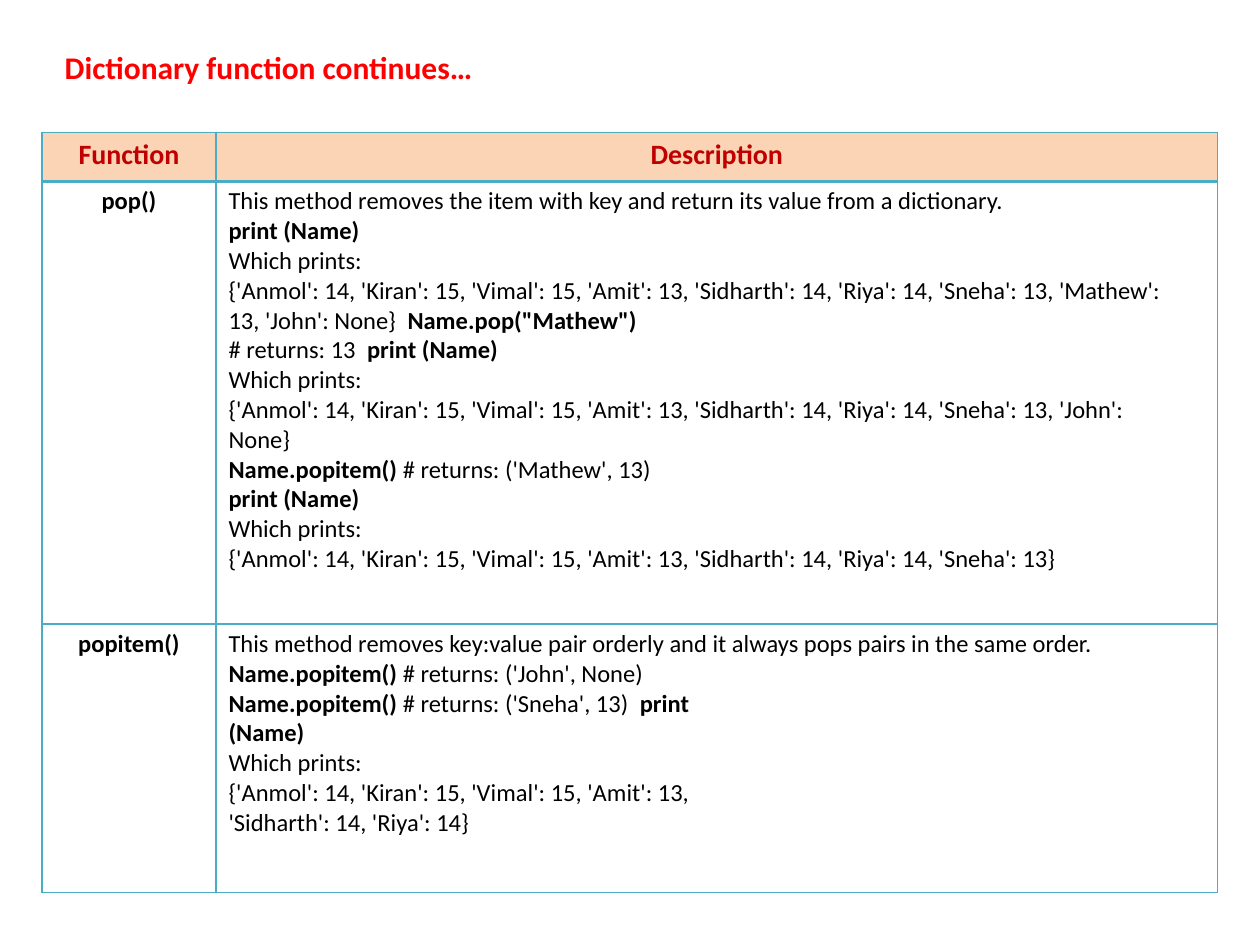
import pptx
import pptx.util
import pptx.dml.color
import pptx.enum.text
import pptx.oxml.ns
from lxml import etree

Pt = pptx.util.Pt
ALIGN = pptx.enum.text.PP_ALIGN
ANCHOR = pptx.enum.text.MSO_ANCHOR
TEAL, PEACH, DARK_RED, RED, BLACK = "4AACC5", "FBD4B5", "C00000", "FF0000", "000000"

POP = [
    ("This method removes the item with key and return its value from a dictionary.", 0),
    ("**print (Name)**", 0),
    ("Which prints:", 0),
    ("{'Anmol': 14, 'Kiran': 15, 'Vimal': 15, 'Amit': 13, 'Sidharth': 14, 'Riya': 14, "
     "'Sneha': 13, 'Mathew':", 0),
    ("13, 'John': None}  **Name.pop(\"Mathew\") **# returns: 13  **print (Name)**", 330),
    ("Which prints:", 0),
    ("{'Anmol': 14, 'Kiran': 15, 'Vimal': 15, 'Amit': 13, 'Sidharth': 14, 'Riya': 14, "
     "'Sneha': 13, 'John': None}", 33),
    ("**Name.popitem() **# returns: ('Mathew', 13)", 0),
    ("**print (Name)**", 0),
    ("Which prints:", 0),
    ("{'Anmol': 14, 'Kiran': 15, 'Vimal': 15, 'Amit': 13, 'Sidharth': 14, 'Riya': 14, "
     "'Sneha': 13}", 0),
]
POPITEM = [
    ("This method removes key:value pair orderly and it always pops pairs in the same order.", 0),
    ("**Name.popitem() **# returns: ('John', None) **Name.popitem() **"
     "# returns: ('Sneha', 13)  **print (Name)**", 296),
    ("Which prints:", 0),
    ("{'Anmol': 14, 'Kiran': 15, 'Vimal': 15, 'Amit': 13, 'Sidharth': 14, 'Riya': 14}", 296),
]


def rgb(color):
    return pptx.dml.color.RGBColor.from_string(color)


def style(p, size, color, bold=None):
    p.font.name = "Calibri"
    p.font.size = Pt(size)
    p.font.color.rgb = rgb(color)
    p.font.bold = bold


def add_title(s, text):
    sp = s.shapes.title
    sp.left, sp.top, sp.width, sp.height = Pt(36), Pt(26.5), Pt(300), Pt(24)
    tf = sp.text_frame
    tf.margin_left = tf.margin_right = tf.margin_bottom = 0
    tf.margin_top = Pt(1)
    tf.vertical_anchor = ANCHOR.TOP
    tf.text = text
    p = tf.paragraphs[0]
    p.alignment = ALIGN.LEFT
    p.space_before = Pt(1)
    pPr = p._p.get_or_add_pPr()
    pPr.set("marL", str(Pt(1)))
    style(p, 18, RED, True)


def set_borders(cell, top, bottom):
    tcPr = cell._tc.get_or_add_tcPr()
    widths = {"a:lnL": 1, "a:lnR": 1, "a:lnT": top, "a:lnB": bottom}
    for i, (tag, width) in enumerate(widths.items()):
        ln = etree.Element(pptx.oxml.ns.qn(tag), w=str(Pt(width)))
        fill = etree.SubElement(ln, pptx.oxml.ns.qn("a:solidFill"))
        etree.SubElement(fill, pptx.oxml.ns.qn("a:srgbClr"), val=TEAL)
        tcPr.insert(i, ln)


def format_cell(cell, fill, top, bottom):
    cell.margin_left = cell.margin_right = cell.margin_bottom = 0
    cell.margin_top = Pt(3)
    if fill:
        cell.fill.solid()
        cell.fill.fore_color.rgb = rgb(fill)
    else:
        cell.fill.background()
    set_borders(cell, top, bottom)


def write_label(cell, text, size, color):
    cell.text = text
    p = cell.text_frame.paragraphs[0]
    p.alignment = ALIGN.CENTER
    p.space_before = Pt(2.8)
    style(p, size, color, True)


def write_description(cell, lines):
    tf = cell.text_frame
    for i, (text, right) in enumerate(lines):
        p = tf.add_paragraph() if i else tf.paragraphs[0]
        p.space_before = Pt(0 if i else 2.8)
        style(p, 14, BLACK)
        pPr = p._p.get_or_add_pPr()
        pPr.set("marL", str(Pt(7.2)))
        pPr.set("marR", str(Pt(right)))
        for j, part in enumerate(text.split("**")):
            if part:
                r = p.add_run()
                r.text = part
                r.font.bold = j % 2 == 1


def add_function_table(s):
    widths, heights = (99.4, 572.4), (28, 253, 153.4)
    table = s.shapes.add_table(3, 2, Pt(24), Pt(75.6), Pt(sum(widths)), Pt(sum(heights))).table
    table.horz_banding = False
    table.first_row = False
    for column, width in zip(table.columns, widths):
        column.width = Pt(width)
    rules = (1, 2.25, 1, 1)
    for i, height in enumerate(heights):
        table.rows[i].height = Pt(height)
        for cell in table.rows[i].cells:
            format_cell(cell, None if i else PEACH, rules[i], rules[i + 1])
    for j, heading in enumerate(("Function", "Description")):
        write_label(table.cell(0, j), heading, 16, DARK_RED)
    for i, (name, lines) in enumerate((("pop()", POP), ("popitem()", POPITEM)), 1):
        write_label(table.cell(i, 0), name, 14, BLACK)
        write_description(table.cell(i, 1), lines)


def main():
    prs = pptx.Presentation()
    prs.slide_width, prs.slide_height = Pt(720), Pt(540)
    s = prs.slides.add_slide(prs.slide_layouts[5])
    add_function_table(s)
    add_title(s, "Dictionary function continues…")
    prs.save("out.pptx")


if __name__ == "__main__":
    main()
